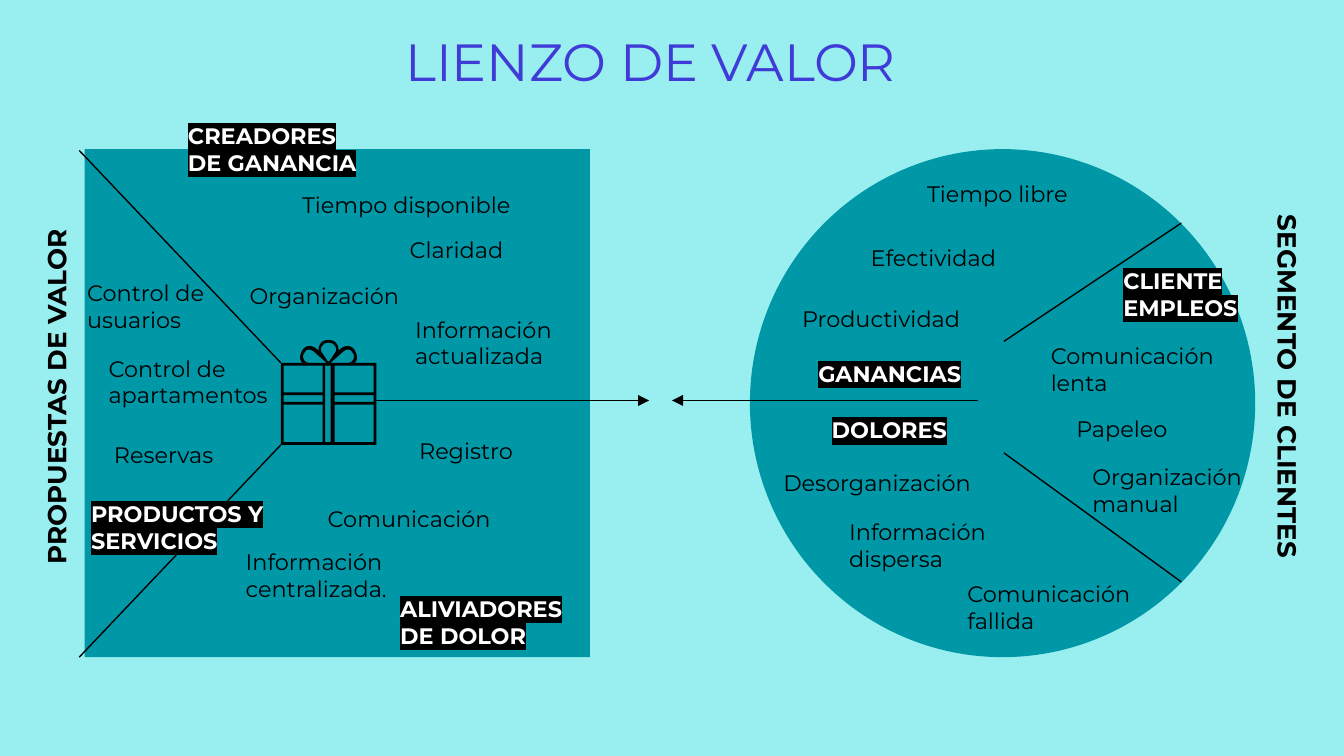
from dataclasses import dataclass

from lxml import etree
from pptx import Presentation
from pptx import util as u
from pptx.dml import color as c
from pptx.enum import shapes, text
from pptx.oxml import ns

PX = 9144


@dataclass(frozen=True)
class Theme:
    font: str = "Montserrat"
    background: str = "99EFF0"
    panel: str = "0097A7"
    title: str = "403BD7"
    ink: str = "000000"
    light: str = "FFFFFF"
    title_size: int = 28
    side_size: int = 14
    body_size: int = 12


THEME = Theme()


def rgb(color):
    return c.RGBColor.from_string(color)


def px(*values):
    return [value * PX for value in values]


def write(tf, content, size=THEME.body_size, color=THEME.ink, bold=False, highlight=None, align=None):
    p = tf.paragraphs[0]
    p.alignment = align
    r = p.add_run()
    r.text = content
    r.font.size = u.Pt(size)
    r.font.bold = bold
    r.font.color.rgb = rgb(color)
    r.font.name = THEME.font
    if highlight:
        mark = etree.Element(ns.qn("a:highlight"))
        etree.SubElement(mark, ns.qn("a:srgbClr")).set("val", highlight)
        r.font._element.find(ns.qn("a:latin")).addprevious(mark)


def add_label(s, box, content, rotation=0, **style):
    sp = s.shapes.add_textbox(*px(*box))
    sp.rotation = rotation
    tf = sp.text_frame
    tf.word_wrap = True
    tf.auto_size = text.MSO_AUTO_SIZE.SHAPE_TO_FIT_TEXT
    write(tf, content, **style)


def add_labels(s, origin, labels, **style):
    x, y = origin
    for content, left, top, width, lines in labels:
        add_label(s, (x + left, y + top, width, 10 + 20 * lines), content, **style)


def add_lines(s, origin, lines):
    x, y = origin
    for x1, y1, x2, y2, arrow in lines:
        line = s.shapes.add_connector(
            shapes.MSO_CONNECTOR.STRAIGHT, *px(x + x1, y + y1, x + x2, y + y2))
        line.line.color.rgb = rgb(THEME.ink)
        line.line.width = u.Pt(0.75)
        if arrow:
            etree.SubElement(line.line._get_or_add_ln(), ns.qn("a:tailEnd")).set("type", "triangle")
        etree.SubElement(line._element.spPr, ns.qn("a:effectLst"))


def fill_shape(sp, color):
    sp.shadow.inherit = False
    sp.fill.solid()
    sp.fill.fore_color.rgb = rgb(color)
    sp.line.fill.background()


def add_panel(s, kind, box):
    fill_shape(s.shapes.add_shape(kind, *px(*box)), THEME.panel)


def curve(*controls, steps=12):
    weights = (1, 3, 3, 1)
    return [tuple(sum(w * (1 - t) ** (3 - n) * t ** n * point[axis]
                      for n, (w, point) in enumerate(zip(weights, controls)))
                  for axis in (0, 1))
            for t in (step / steps for step in range(steps + 1))]


def add_gift(s, box):
    x, y, width, height = box

    def rect(left, top, right, bottom):
        return [(left, top), (left, bottom), (right, bottom), (right, top)]

    def mirror(points):
        return [(width - i, j) for i, j in reversed(points)]

    half = [(0, height), (0, 17), (16, 17),
            *curve((16, 17), (14, 15), (14, 12), (15, 10)),
            *curve((15, 10), (17, 3), (24, 3), (28, 8)),
            *curve((28, 8), (28, 3), (31, 0), (35, 0))]
    loop = [*curve((21, 17), (17, 17), (15, 12), (18, 9)),
            *curve((18, 9), (19, 6), (23, 7), (25, 9)), (34, 17)]
    drop = [(35, 16), *curve((31, 10), (28, 7), (31, 2), (35, 2))]
    panes = [rect(left, top, right, bottom)
             for left, right in ((2, 31), (40, 69))
             for top, bottom in ((19, 39), (41, 46), (48, 76))]
    holes = [*panes, rect(33, 19, 37, 76), loop, mirror(loop), drop + mirror(drop)]

    builder = s.shapes.build_freeform()
    for contour in (half + mirror(half), *holes):
        points = [(round((x + i) * PX), round((y + j) * PX)) for i, j in contour]
        builder.move_to(*points[0])
        builder.add_line_segments(points[1:], close=True)
    fill_shape(builder.convert_to_shape(), THEME.ink)


def add_heading(s, box, content):
    sp = s.shapes.title
    sp.left, sp.top, sp.width, sp.height = px(*box)
    tf = sp.text_frame
    tf.margin_left = tf.margin_top = tf.margin_right = tf.margin_bottom = 10 * PX
    tf.vertical_anchor = text.MSO_ANCHOR.TOP
    tf.auto_size = text.MSO_AUTO_SIZE.NONE
    write(tf, content, size=THEME.title_size, color=THEME.title, align=text.PP_ALIGN.CENTER)


def add_side(s, box, content, rotation):
    add_label(s, box, content, rotation, size=THEME.side_size, bold=True)


def add_headers(s, origin, labels):
    add_labels(s, origin, labels, color=THEME.light, bold=True, highlight=THEME.ink)


def add_value_map(s, box):
    x, y, _, _ = box
    add_side(s, (x - 161, y + 162, 280, 34), "PROPUESTAS DE VALOR", 270)
    add_panel(s, shapes.MSO_SHAPE.RECTANGLE, box)
    add_gift(s, (x + 146, y + 142, 71, 78))
    add_lines(s, (x, y), [
        (-4, 1, 146, 159, False),
        (-4, 378, 146, 220, False),
        (217, 187, 420, 187, True),
    ])
    add_headers(s, (x, y), [
        ("CREADORES DE GANANCIA", 67, -25, 150, 2),
        ("PRODUCTOS Y SERVICIOS", -5, 256, 150, 2),
        ("ALIVIADORES DE DOLOR", 225, 327, 150, 2),
    ])
    add_labels(s, (x, y), [
        ("Tiempo disponible", 152, 26, 186, 1),
        ("Organización", 113, 94, 186, 1),
        ("Información actualizada", 236, 119, 186, 2),
        ("Claridad", 232, 60, 186, 1),
        ("Control de usuarios", -8, 92, 144, 2),
        ("Control de apartamentos", 8, 148, 143, 2),
        ("Comunicación", 171, 260, 186, 1),
        ("Reservas", 12, 212, 186, 1),
        ("Información centralizada.", 110, 292, 186, 2),
        ("Registro", 239, 209, 186, 1),
    ])


def add_customer_profile(s, box):
    x, y, _, _ = box
    add_side(s, (x + 260, y + 162, 280, 34), "SEGMENTO DE CLIENTES", 90)
    add_panel(s, shapes.MSO_SHAPE.OVAL, box)
    add_lines(s, (x, y), [
        (170, 187, -58, 187, True),
        (189, 143, 321, 55, False),
        (321, 322, 189, 226, False),
    ])
    add_headers(s, (x, y), [
        ("CLIENTE EMPLEOS", 268, 83, 150, 2),
        ("DOLORES", 51, 194, 150, 1),
        ("GANANCIAS", 41, 152, 150, 1),
    ])
    add_labels(s, (x, y), [
        ("Desorganización", 15, 233, 186, 1),
        ("Información dispersa", 64, 270, 186, 2),
        ("Comunicación fallida", 152, 316, 186, 2),
        ("Productividad", 29, 111, 186, 1),
        ("Tiempo libre", 122, 18, 186, 1),
        ("Efectividad", 80, 66, 186, 1),
        ("Comunicación lenta", 214, 139, 186, 2),
        ("Papeleo", 233, 193, 186, 1),
        ("Organización manual", 245, 229, 186, 2),
    ])


def main():
    prs = Presentation()
    prs.slide_width = u.Inches(10)
    prs.slide_height = prs.slide_width * 9 // 16
    s = prs.slides.add_slide(prs.slide_layouts[5])
    s.background.fill.solid()
    s.background.fill.fore_color.rgb = rgb(THEME.background)
    add_heading(s, (18, 12, 932, 62), "LIENZO DE VALOR")
    add_value_map(s, (63, 111, 376, 378))
    add_customer_profile(s, (558, 111, 376, 378))
    prs.save("out.pptx")


if __name__ == "__main__":
    main()
